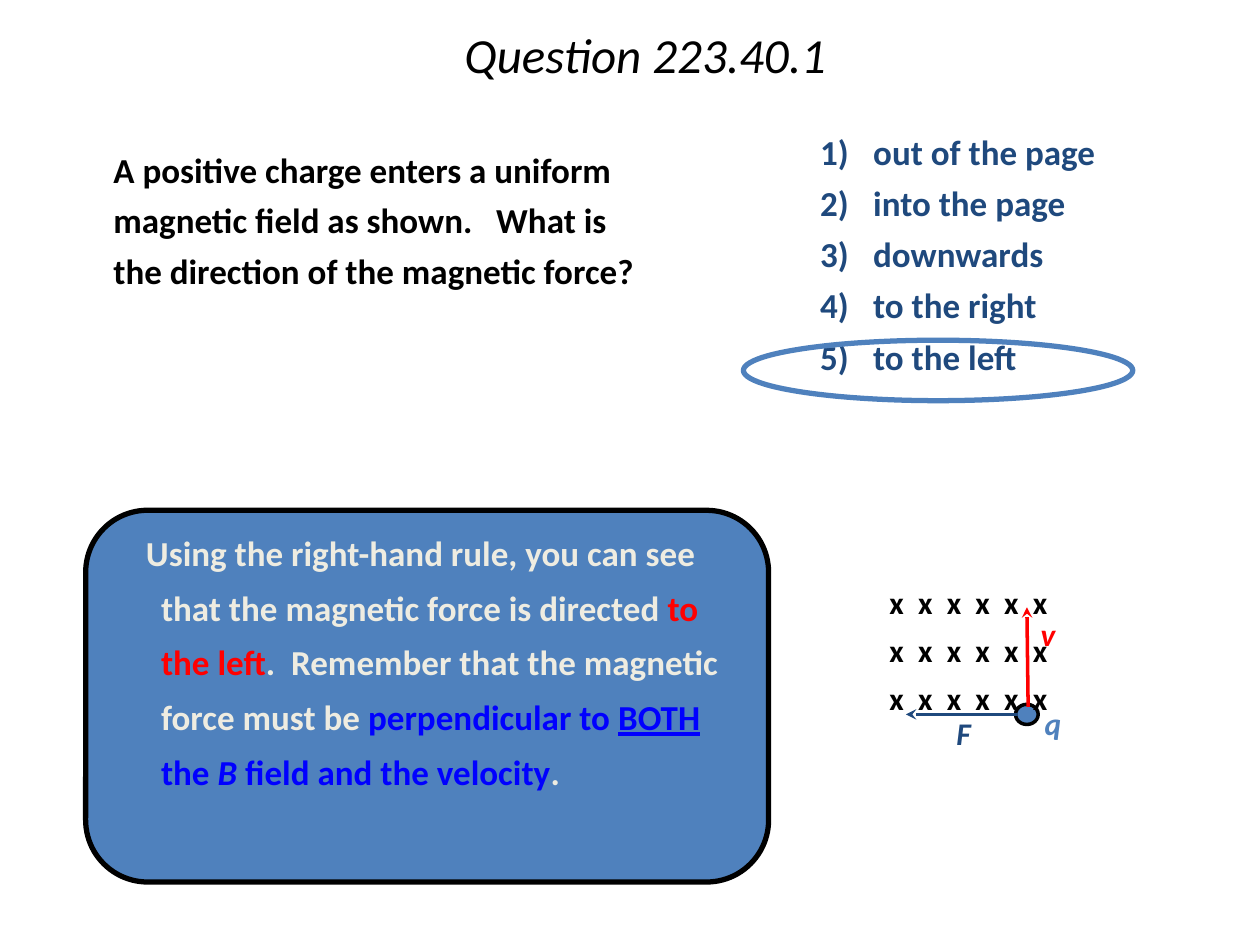
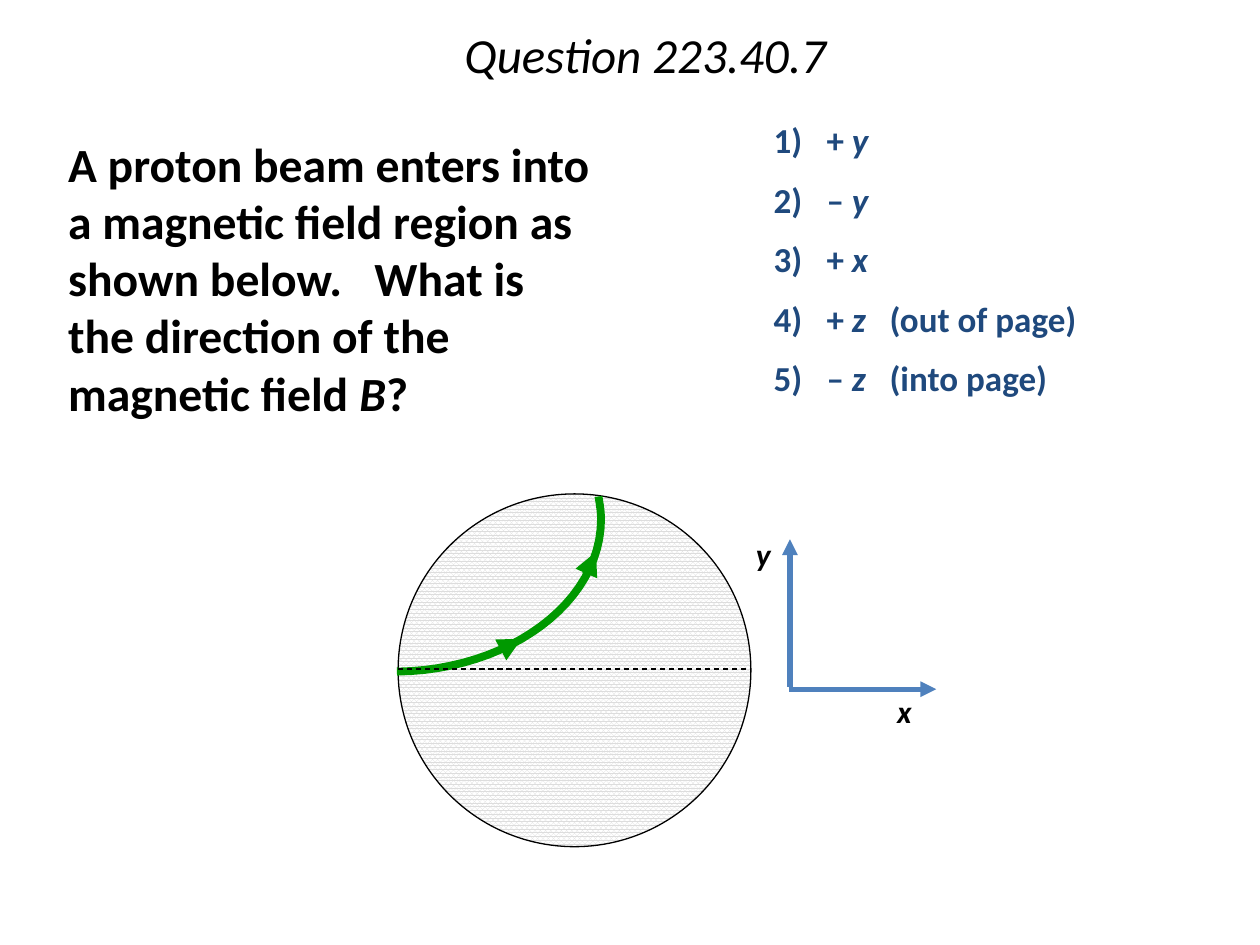
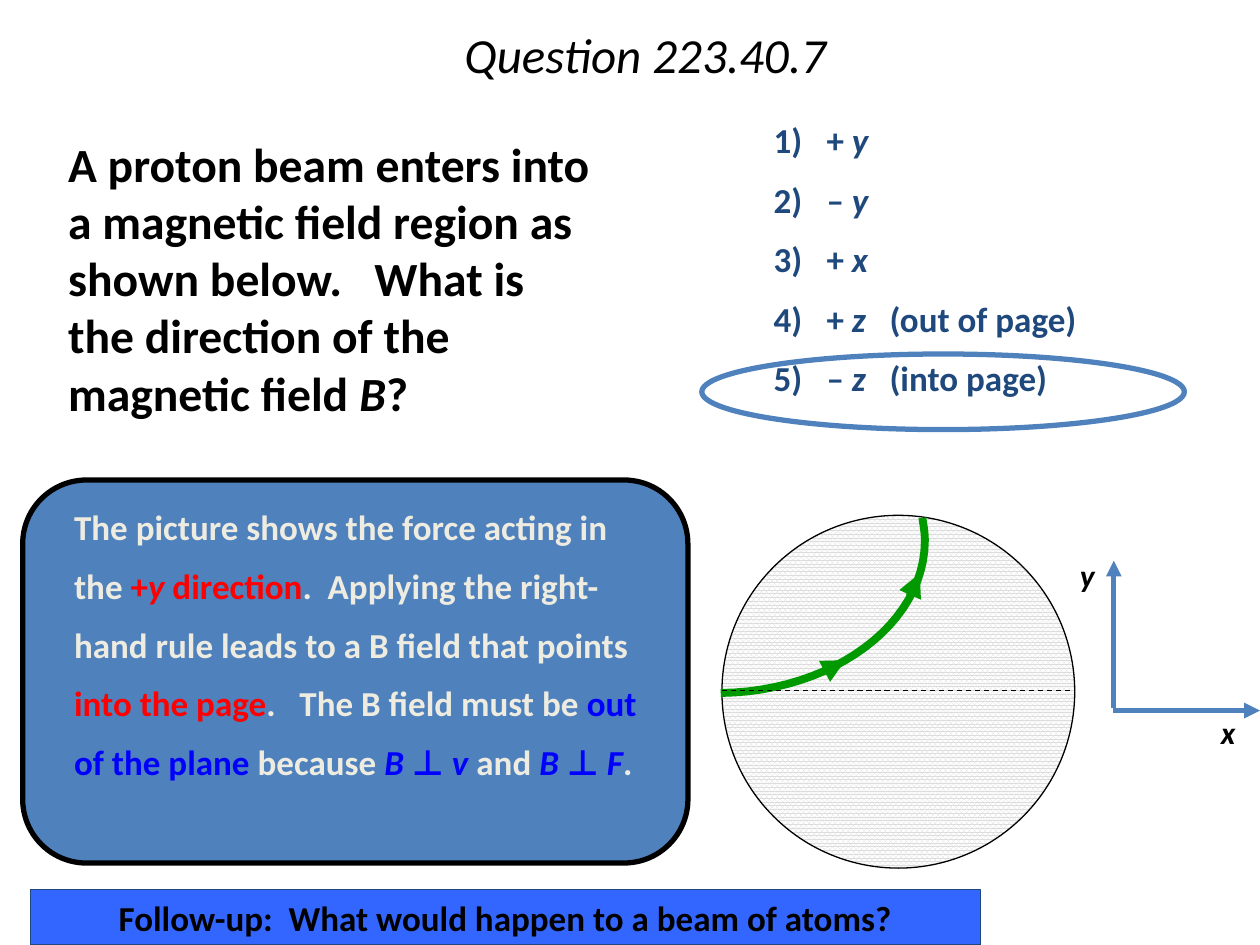
from lxml import etree
from pptx import Presentation
from pptx.dml.color import RGBColor
from pptx.enum.dml import MSO_LINE, MSO_PATTERN
from pptx.enum.shapes import MSO_CONNECTOR, MSO_SHAPE
from pptx.enum.text import MSO_ANCHOR, MSO_AUTO_SIZE, PP_ALIGN
from pptx.oxml.ns import qn
from pptx.util import Inches, Pt

ELLIPSE, ROUNDED, RECTANGLE = MSO_SHAPE.OVAL, MSO_SHAPE.ROUNDED_RECTANGLE, MSO_SHAPE.RECTANGLE
LEFT, CENTER = PP_ALIGN.LEFT, PP_ALIGN.CENTER
TOP, MIDDLE = MSO_ANCHOR.TOP, MSO_ANCHOR.MIDDLE
STRAIGHT, DASH = MSO_CONNECTOR.STRAIGHT, MSO_LINE.DASH
NO_AUTOFIT, PERCENT_80 = MSO_AUTO_SIZE.NONE, MSO_PATTERN.PERCENT_80
FONT = "Calibri"
COLORS = {
    "black": "000000", "white": "FFFFFF", "blue": "4F81BD", "navy": "1F497D",
    "cream": "EEECE1", "red": "FF0000", "link": "0000FF", "green": "009900",
    "gray": "DDDDDD", "bright": "3366FF",
}
COLORS = {name: RGBColor.from_string(value) for name, value in COLORS.items()}

presentation = Presentation()
presentation.slide_width, presentation.slide_height = Inches(10), Inches(7.5)
COLUMN = presentation.slide_width // 100
ROW = presentation.slide_height // 75


def write(shape, paragraphs, size, color="black", bold=True, italic=False, align=LEFT,
          anchor=TOP, spacing=1, gap=0, margin=0, indent=0, bullet="buNone", tab=None, inset=0):
    frame = shape.text_frame
    frame.word_wrap, frame.auto_size, frame.vertical_anchor = True, NO_AUTOFIT, anchor
    frame.margin_left = frame.margin_right = round(inset * COLUMN)
    frame.margin_top = frame.margin_bottom = round(inset * ROW / 2)
    for number, runs in enumerate(paragraphs):
        paragraph = frame.add_paragraph() if number else frame.paragraphs[0]
        properties = paragraph._p.get_or_add_pPr()
        properties.set("marL", str(round(margin * COLUMN)))
        properties.set("indent", str(round(indent * COLUMN)))
        mark = etree.SubElement(properties, qn("a:" + bullet))
        if bullet == "buAutoNum":
            mark.set("type", "arabicParenR")
        if tab:
            stops = etree.SubElement(properties, qn("a:tabLst"))
            etree.SubElement(stops, qn("a:tab"), pos=str(round(tab * COLUMN)), algn="l")
        paragraph.alignment, paragraph.line_spacing = align, spacing
        paragraph.space_before = Pt(gap if number else 0)
        font = paragraph.font
        font.name, font.size, font.bold, font.italic = FONT, Pt(size), bold, italic
        font.color.rgb = COLORS[color]
        for text, *style in runs:
            run = paragraph.add_run()
            run.text = text
            for item in style:
                if item == "italic":
                    run.font.italic = True
                elif item == "underline":
                    run.font.underline = True
                else:
                    run.font.color.rgb = COLORS[item]


def connect(slide, start, end, color, width, head=None, dash=None):
    (x1, y1), (x2, y2) = start, end
    line = slide.shapes.add_connector(STRAIGHT, round(x1 * COLUMN), round(y1 * ROW),
                                      round(x2 * COLUMN), round(y2 * ROW))
    line.line.color.rgb, line.line.width = COLORS[color], Pt(width)
    if dash:
        line.line.dash_style = dash
    if head:
        etree.SubElement(line.line._get_or_add_ln(), qn("a:tailEnd"), type=head)
    etree.SubElement(line._element.spPr, qn("a:effectLst"))


proton = {
    "title": "Question 223.40.7",
    "question": [("A proton beam enters into a magnetic field region as shown below.   "
                  "What is the direction of the magnetic field ",), ("B", "italic"), ("?",)],
    "question_box": (0, 10.2, 48, 24.8),
    "question_style": {"size": 27.2, "margin": 4.4},
    "options": [[("+ ",), ("y", "italic")], [("– ",), ("y", "italic")],
                [("+ ",), ("x", "italic")],
                [("+ ",), ("z", "italic"), ("\t(out of page)",)],
                [("– ",), ("z", "italic"), ("\t(into page)",)]],
    "options_box": (60.4, 8.9, 33.9, 24.3),
    "options_spacing": 1,
    "shapes": [], "texts": [], "arrows": [],
    "field": (31.6, 39.2),
}
charge = {
    "title": "Question 223.40.1",
    "question": [("A positive charge enters a uniform magnetic field as shown.   "
                  "What is the direction of the magnetic force?",)],
    "question_box": (3.6, 10.6, 48.2, 20.1),
    "question_style": {"size": 20, "margin": 4.4, "spacing": 1.2},
    "options": [[(text,)] for text in ("out of the page", "into the page", "downwards",
                                       "to the right", "to the left")],
    "options_box": (64.1, 10.5, 35.9, 21),
    "options_spacing": 0.8,
    "shapes": [(ROUNDED, (6.8, 40.5, 54.2, 29.5), "blue", "black", 3),
               (ELLIPSE, (59, 27, 30.9, 4.8), None, "blue", 3),
               (ELLIPSE, (80.6, 55.9, 1.8, 1.6), "blue", "black", 2)],
    "texts": [
        ((8.7, 40.7, 50.1, 27),
         [[("Using the right-hand rule, you can see that the magnetic force is directed ",),
           ("to the left", "red"), (".  Remember that the magnetic force must be ",),
           ("perpendicular to ", "link"), ("BOTH", "link", "underline"), (" the ", "link"),
           ("B", "link", "italic"), (" field and the velocity", "link"), (".",)]],
         {"size": 20, "color": "cream", "spacing": 1.3, "margin": 3.1, "indent": -1.2,
          "inset": 1}),
        ((70.6, 46.6, 23, 14), [[("  ".join("x" * 6),)]] * 3,
         {"size": 18, "spacing": 0.9, "gap": 8}),
    ] + [((left, top, 2, 3), [[(letter,)]],
          {"size": 18, "color": color, "italic": True, "spacing": 0.87})
         for letter, left, top, color in (("v", 82.6, 49.2, "red"), ("q", 82.9, 56.3, "blue"),
                                          ("F", 75.9, 57.1, "navy"))],
    "arrows": [((81.6, 56.1), (81.5, 48.2), "red", 2, "stealth"),
               ((80.8, 56.7), (71.9, 56.7), "navy", 2, "stealth")],
    "field": None,
}
answer = proton | {
    "shapes": [(ROUNDED, (1.8, 38.1, 52.8, 30.4), "blue", "black", 3),
               (ELLIPSE, (55.7, 28.1, 38.3, 6), None, "blue", 3),
               (RECTANGLE, (2.4, 70.6, 75.4, 4.4), "bright", "navy", 0.75)],
    "texts": [
        ((1.8, 38.3, 51.5, 29),
         [[("The picture shows the force acting in the ",), ("+", "red"), ("y", "red", "italic"),
           (" direction", "red"),
           (".  Applying the right-hand rule leads to a B field that points ",),
           ("into the page", "red"), (".   The B field must be ",),
           ("out of the plane", "link"), (" because ",), ("B ", "link", "italic"),
           ("⊥", "link"), (" v", "link", "italic"), (" and ",), ("B ", "link", "italic"),
           ("⊥", "link"), (" F", "link", "italic"), (".",)]],
         {"size": 20, "color": "cream", "spacing": 1.4, "margin": 3.1, "inset": 1}),
        ((2.4, 70.6, 75.4, 4.4), [[("Follow-up:  What would happen to a beam of atoms?",)]],
         {"size": 20, "align": CENTER, "anchor": MIDDLE}),
    ],
    "field": (57.3, 40.9),
}

for content in (charge, proton, answer):
    slide = presentation.slides.add_slide(presentation.slide_layouts[3])
    title, question, options = slide.placeholders
    for holder, box in ((title, (7.2, 0, 88, 9.2)), (question, content["question_box"]),
                        (options, content["options_box"])):
        left, top, width, height = box
        holder.left, holder.top = round(left * COLUMN), round(top * ROW)
        holder.width, holder.height = round(width * COLUMN), round(height * ROW)
    write(title, [[(content["title"],)]], 28, bold=False, italic=True, align=CENTER,
          anchor=MIDDLE, spacing=0.9, inset=1)
    write(question, [content["question"]], inset=1, **content["question_style"])
    write(options, content["options"], 20, "navy", spacing=content["options_spacing"], gap=10,
          margin=4.2, indent=-4.2, bullet="buAutoNum", tab=9.2, inset=1)

    for kind, (left, top, width, height), fill, outline, weight in content["shapes"]:
        shape = slide.shapes.add_shape(kind, round(left * COLUMN), round(top * ROW),
                                       round(width * COLUMN), round(height * ROW))
        shape.shadow.inherit = False
        shape.line.color.rgb, shape.line.width = COLORS[outline], Pt(weight)
        if fill:
            shape.fill.solid()
            shape.fill.fore_color.rgb = COLORS[fill]
        else:
            shape.fill.background()

    texts, arrows = list(content["texts"]), list(content["arrows"])
    if content["field"]:
        x, y = content["field"]
        region = slide.shapes.add_shape(ELLIPSE, round(x * COLUMN), round(y * ROW),
                                        28 * COLUMN, 28 * ROW)
        region.shadow.inherit = False
        region.fill.patterned()
        region.fill.pattern = PERCENT_80
        region.fill.fore_color.rgb, region.fill.back_color.rgb = COLORS["gray"], COLORS["white"]
        region.line.color.rgb, region.line.width = COLORS["black"], Pt(0.75)

        points = []
        for curve in (((-0.1, 14.1), (8.8, 14), (16.1, 8.6), (16.1, 2)),
                      ((16.1, 2), (16.1, 1.4), (16, 0.8), (15.9, 0.2))):
            for step in range(25):
                t = step / 24
                weights = ((1 - t) ** 3, 3 * t * (1 - t) ** 2, 3 * t ** 2 * (1 - t), t ** 3)
                across, down = (sum(w * p[axis] for w, p in zip(weights, curve))
                                for axis in (0, 1))
                points.append((round((x + across) * COLUMN), round((y + down) * ROW)))
        builder = slide.shapes.build_freeform(*points[0])
        builder.add_line_segments(points[1:], close=False)
        beam = builder.convert_to_shape()
        beam.shadow.inherit = False
        beam.fill.background()
        beam.line.color.rgb, beam.line.width = COLORS["green"], Pt(4.5)

        connect(slide, (x, y + 13.9), (x + 27.6, y + 13.9), "black", 0.75, dash=DASH)
        for start, end, color, weight in (((8.3, 12.3), (9.8, 11.5), "green", 4.5),
                                          ((14.9, 6.4), (15.7, 4.6), "green", 4.5),
                                          ((31, 15.5), (42.7, 15.5), "blue", 3),
                                          ((31.1, 15.3), (31.1, 3.6), "blue", 3)):
            arrows.append(((x + start[0], y + start[1]), (x + end[0], y + end[1]),
                           color, weight, "triangle"))
        for letter, across, down in (("x", 39.6, 15.4), ("y", 28.4, 2.9)):
            texts.append(((x + across, y + down, 2, 4), [[(letter,)]],
                          {"size": 18, "italic": True, "spacing": 1.11}))

    for arrow in arrows:
        connect(slide, *arrow)
    for (left, top, width, height), paragraphs, style in texts:
        box = slide.shapes.add_textbox(round(left * COLUMN), round(top * ROW),
                                       round(width * COLUMN), round(height * ROW))
        write(box, paragraphs, **style)

presentation.save("out.pptx")
